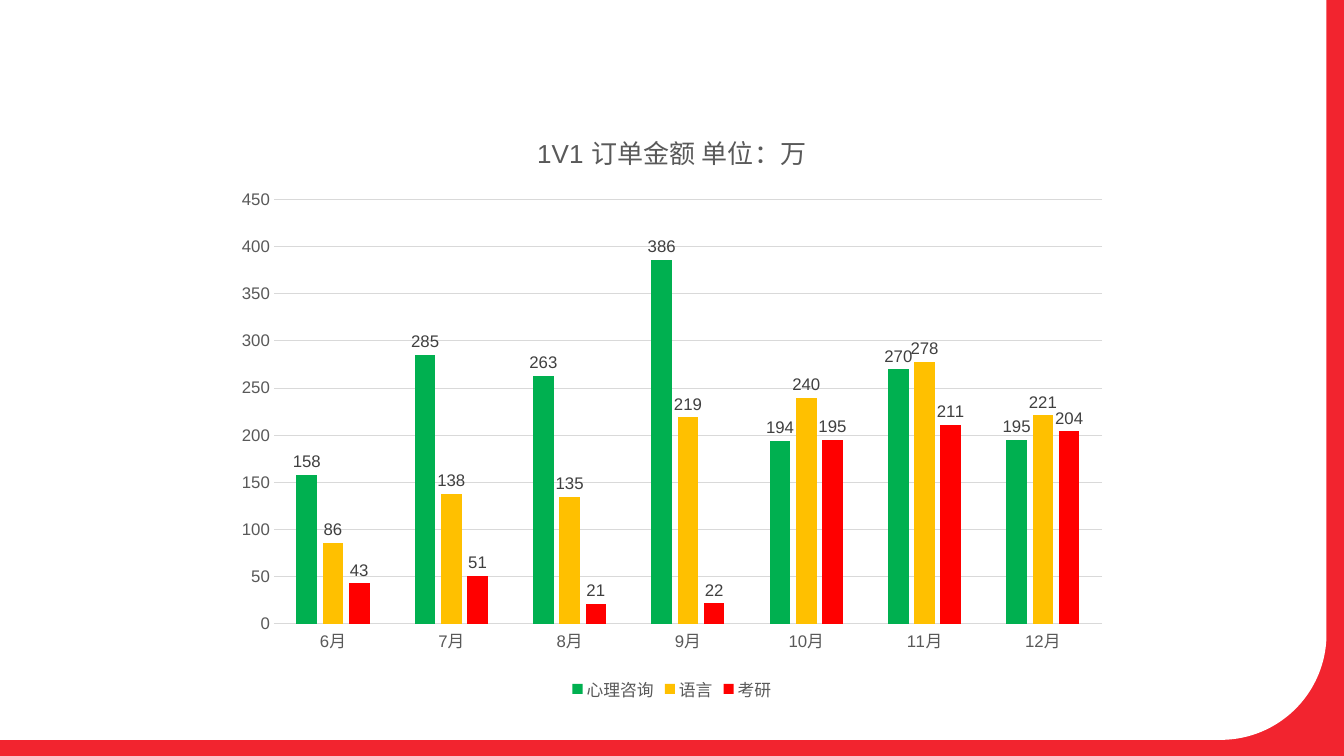
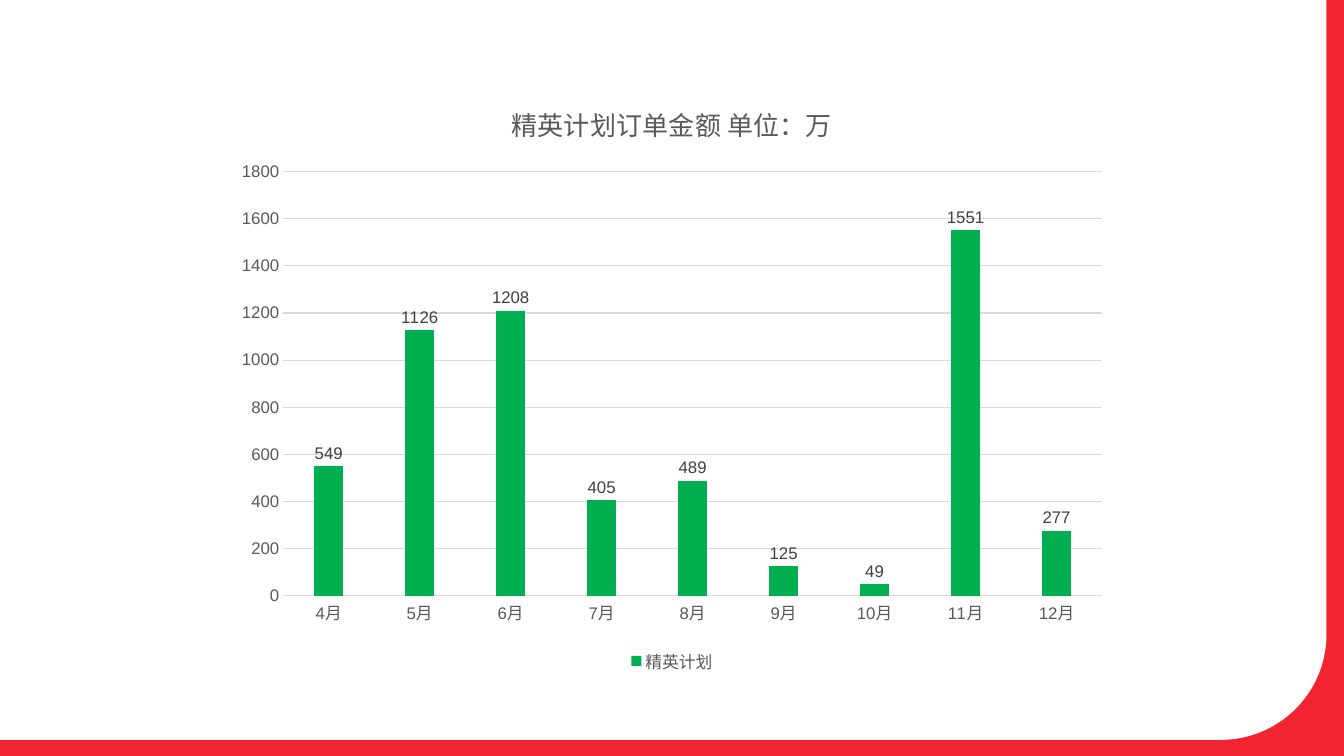
"""Build two slides of monthly order amounts as clustered column charts."""
from dataclasses import dataclass

import pptx
import pptx.chart.data
import pptx.dml.color
import pptx.enum.chart
import pptx.enum.shapes
import pptx.util

Pt = pptx.util.Pt


@dataclass(frozen=True)
class Theme:
    frame: str = "F2242F"
    panel: str = "FFFFFF"
    text: str = "595959"
    value: str = "404040"
    grid: str = "D9D9D9"
    columns: tuple = ("00B050", "FFC000", "FF0000")
    font: str = "Arial"
    title_size: float = 18.6
    label_size: float = 12
    line_width: float = 0.75


class Deck:
    """Hold the theme, the presentation and the current slide."""

    width, height = 960, 540
    panel_width, panel_height = 947.5, 528.5

    def __init__(self, theme):
        self.theme = theme
        self.presentation = pptx.Presentation()
        self.presentation.slide_width = Pt(self.width)
        self.presentation.slide_height = Pt(self.height)
        self.slide = None

    def paint(self, fill, color):
        fill.solid()
        fill.fore_color.rgb = pptx.dml.color.RGBColor.from_string(color)

    def style_font(self, font, size, color):
        font.name = self.theme.font
        font.size = Pt(size)
        font.bold = False
        font.color.rgb = pptx.dml.color.RGBColor.from_string(color)

    def style_line(self, line):
        self.paint(line.fill, self.theme.grid)
        line.width = Pt(self.theme.line_width)

    def add_slide(self):
        self.slide = self.presentation.slides.add_slide(self.presentation.slide_layouts[6])
        self.paint(self.slide.background.fill, self.theme.frame)
        self.add_panel()

    def add_panel(self):
        offset = (self.panel_width - self.panel_height) / 2
        panel = self.slide.shapes.add_shape(
            pptx.enum.shapes.MSO_SHAPE.ROUND_1_RECTANGLE,
            Pt(offset), Pt(-offset), Pt(self.panel_height), Pt(self.panel_width))
        panel.rotation = 90
        panel.adjustments[0] = 0.143
        panel.shadow.inherit = False
        self.paint(panel.fill, self.theme.panel)
        panel.line.fill.background()

    def add_column_chart(self, top, title, months, amounts):
        theme = self.theme
        orders = pptx.chart.data.CategoryChartData()
        orders.categories = [f"{month}月" for month in months]
        for product, values in amounts.items():
            orders.add_series(product, values)
        chart = self.slide.shapes.add_chart(
            pptx.enum.chart.XL_CHART_TYPE.COLUMN_CLUSTERED,
            Pt(160), Pt(top), Pt(640), Pt(427), orders).chart
        self.style_font(chart.font, theme.label_size, theme.text)
        self.add_title(chart, title)
        self.style_axes(chart)
        chart.has_legend = True
        chart.legend.position = pptx.enum.chart.XL_LEGEND_POSITION.BOTTOM
        chart.legend.include_in_layout = False
        self.style_font(chart.legend.font, theme.label_size, theme.text)
        self.style_columns(chart.plots[0])

    def add_title(self, chart, title):
        chart.has_title = True
        heading = chart.chart_title.text_frame
        heading.text = title
        chart.chart_title.include_in_layout = False
        self.style_font(heading.paragraphs[0].runs[0].font, self.theme.title_size, self.theme.text)

    def style_axes(self, chart):
        for axis in (chart.category_axis, chart.value_axis):
            axis.major_tick_mark = pptx.enum.chart.XL_TICK_MARK.NONE
            axis.minor_tick_mark = pptx.enum.chart.XL_TICK_MARK.NONE
            self.style_font(axis.tick_labels.font, self.theme.label_size, self.theme.text)
        self.style_line(chart.category_axis.format.line)
        chart.value_axis.format.line.fill.background()
        chart.value_axis.has_major_gridlines = True
        self.style_line(chart.value_axis.major_gridlines.format.line)

    def style_columns(self, plot):
        plot.vary_by_categories = False
        plot.gap_width = 219
        plot.overlap = -27
        for product, color in zip(plot.series, self.theme.columns):
            self.paint(product.format.fill, color)
            product.invert_if_negative = False
            labels = product.data_labels
            labels.show_value = True
            labels.position = pptx.enum.chart.XL_LABEL_POSITION.OUTSIDE_END
            self.style_font(labels.font, self.theme.label_size, self.theme.value)


def main():
    deck = Deck(Theme())
    deck.add_slide()
    deck.add_column_chart(77, "1V1 订单金额 单位：万", range(6, 13), {
        "心理咨询": (158, 285, 263, 386, 194, 270, 195),
        "语言": (86, 138, 135, 219, 240, 278, 221),
        "考研": (43, 51, 21, 22, 195, 211, 204),
    })
    deck.add_slide()
    deck.add_column_chart(57, "精英计划订单金额 单位：万", range(4, 13), {
        "精英计划": (549, 1126, 1208, 405, 489, 125, 49, 1551, 277),
    })
    deck.presentation.save("out.pptx")


if __name__ == "__main__":
    main()
